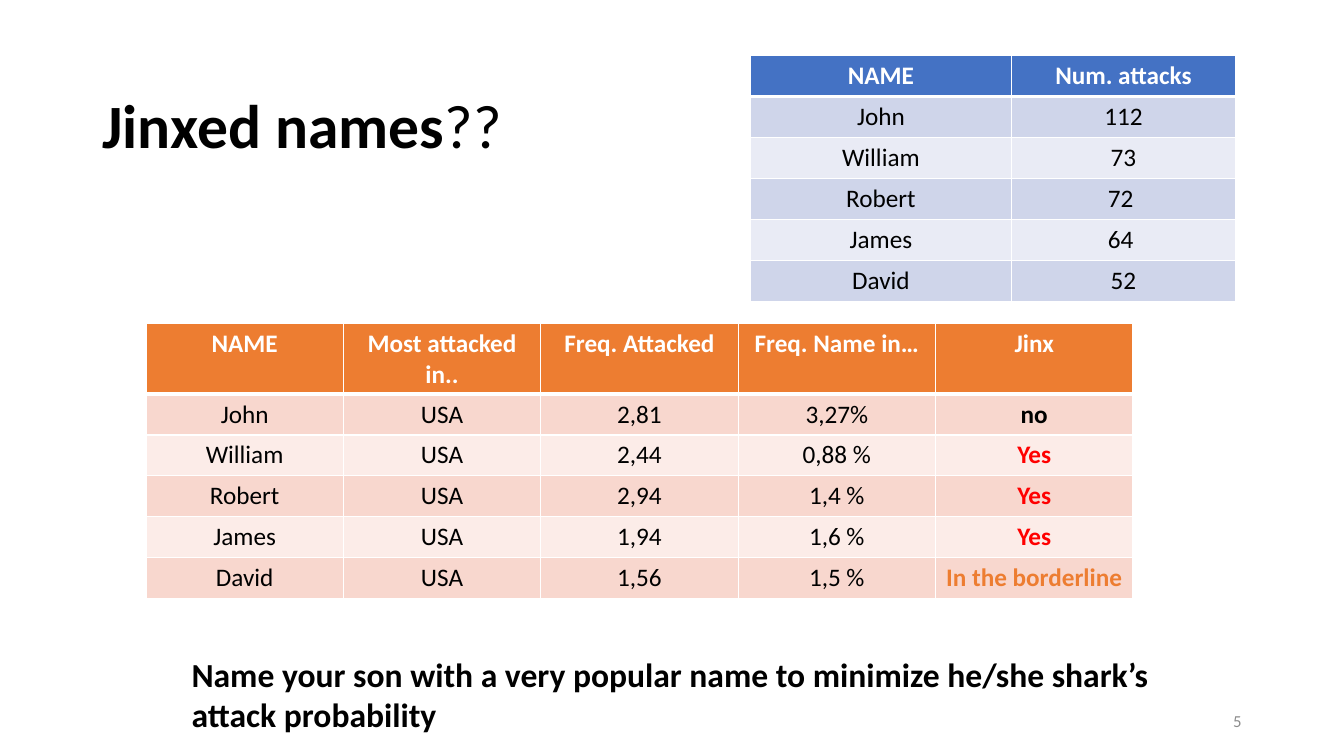
from lxml import etree
from pptx import Presentation
from pptx import util as u
from pptx.dml.color import RGBColor
from pptx.enum import text
from pptx.oxml.ns import qn

PX = 9525  # EMU per px, 96 px to the inch
FONT = "Calibri"
HUES = {
    "black": "000000", "white": "FFFFFF", "gray": "8C8C8C", "red": "FF0000",
    "blue": "4472C4", "blue1": "CFD5EA", "blue2": "E9EBF5",
    "orange": "ED7D31", "orange1": "F8D7CE", "orange2": "FCECE8",
}
JINX = {"no": "black", "Yes": "red", "In the borderline": "orange"}
ROW = 39


def rgb(hue):
    return RGBColor.from_string(HUES[hue])


class Deck:
    def __init__(self, wide, high):
        self.prs = Presentation()
        self.prs.slide_width, self.prs.slide_height = wide * PX, high * PX
        self.slide = self.prs.slides.add_slide(self.prs.slide_layouts[6])

    def style(self, para, size, hue="black", bold=False, align=None):
        font = para.font
        font.name, font.size, font.bold = FONT, u.Pt(size), bold
        font.color.rgb = rgb(hue)
        para.alignment = align

    def label(self, box, words, size, anchor=text.MSO_ANCHOR.TOP, **look):
        shape = self.slide.shapes.add_textbox(*(n * PX for n in box))
        frame = shape.text_frame
        frame.word_wrap = True
        frame.vertical_anchor = anchor
        para = frame.paragraphs[0]
        para.text = words
        self.style(para, size, **look)
        return para

    def edge(self, cell, side, points):
        """Draw one white border of a cell."""
        line = etree.SubElement(cell._tc.get_or_add_tcPr(), qn(f"a:ln{side}"),
                                w=str(u.Pt(points)))
        fill = etree.SubElement(line, qn("a:solidFill"))
        etree.SubElement(fill, qn("a:srgbClr"), val=HUES["white"])

    def table(self, left, top, widths, hue, rows):
        grid = self.slide.shapes.add_table(
            len(rows), len(widths), left * PX, top * PX,
            sum(widths) * PX, len(rows) * ROW * PX).table
        for col, wide in zip(grid.columns, widths):
            col.width = wide * PX
        for r, row in enumerate(rows):
            grid.rows[r].height = ROW * PX
            shade = hue + ("1" if r % 2 else "2") if r else hue
            for c, words in enumerate(row):
                cell = grid.cell(r, c)
                thick = {"T": r == 1, "B": r == 0}
                for side in "LRTB":
                    self.edge(cell, side, 3 if thick.get(side) else 1)
                cell.fill.solid()
                cell.fill.fore_color.rgb = rgb(shade)
                para = cell.text_frame.paragraphs[0]
                para.text = words
                ink = JINX.get(words, "black") if r else "white"
                self.style(para, 18, ink, r == 0 or words in JINX,
                           text.PP_ALIGN.CENTER)


def main():
    deck = Deck(1280, 720)
    middle = text.MSO_ANCHOR.MIDDLE
    title = deck.label((88, 53, 1104, 139), "Jinxed names", 44, middle, bold=True)
    title.line_spacing = 0.9
    marks = title.add_run()
    marks.text = "??"
    marks.font.bold = False

    deck.table(715, 53, [248, 214], "blue", [
        ("NAME", "Num. attacks"),
        ("John", "112"),
        ("William", "73"),
        ("Robert", "72 "),
        ("James", "64 "),
        ("David", "52"),
    ])
    deck.label((904, 667, 288, 38), "5", 12, middle, hue="gray",
               align=text.PP_ALIGN.RIGHT)
    deck.table(139, 308, [188] * 5, "orange", [
        ("NAME", "Most attacked in..", "Freq. Attacked", "Freq. Name in…", "Jinx"),
        ("John", "USA", "2,81", "3,27%", "no"),
        ("William", "USA", "2,44", "0,88 %", "Yes"),
        ("Robert", "USA", "2,94", "1,4 %", "Yes"),
        ("James", "USA", "1,94", "1,6 %", "Yes"),
        ("David", "USA", "1,56", "1,5 %", "In the borderline"),
    ])
    deck.label((173, 618, 1005, 87),
               "Name your son with a very popular name to minimize "
               "he/she shark’s attack probability", 24, bold=True)
    deck.prs.save("out.pptx")


if __name__ == "__main__":
    main()
